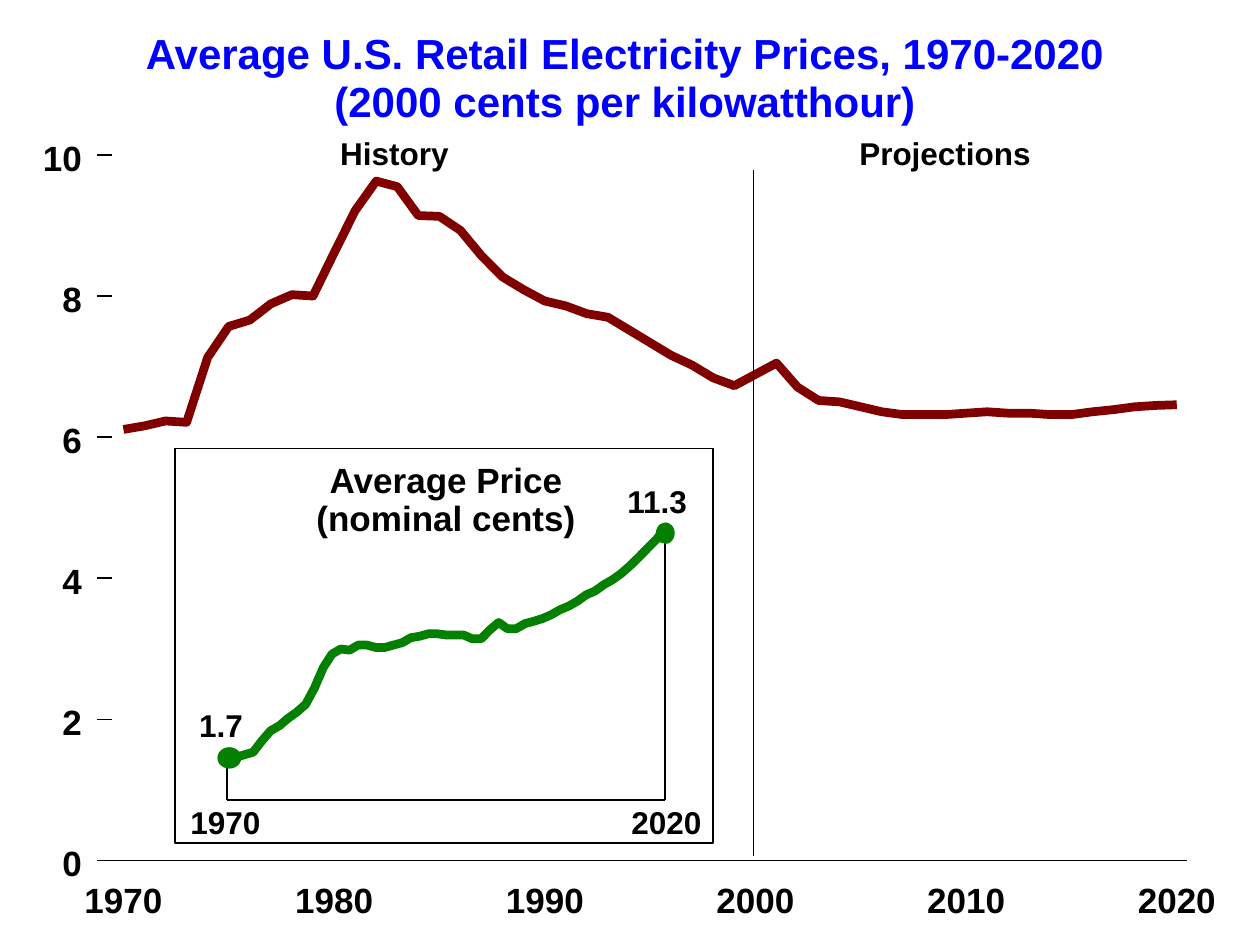
from lxml import etree
from pptx import Presentation
from pptx.dml.color import RGBColor
from pptx.enum.shapes import MSO_CONNECTOR, MSO_SHAPE
from pptx.enum.text import MSO_ANCHOR, MSO_AUTO_SIZE, PP_ALIGN
from pptx.oxml.ns import qn
from pptx.util import Inches, Pt

STRAIGHT = MSO_CONNECTOR.STRAIGHT
RECT, OVAL = MSO_SHAPE.RECTANGLE, MSO_SHAPE.OVAL
CENTER, RIGHT = PP_ALIGN.CENTER, PP_ALIGN.RIGHT
TOP = MSO_ANCHOR.TOP
GROW = MSO_AUTO_SIZE.SHAPE_TO_FIT_TEXT

COLORS = {"title": "0000FF", "ink": "000000", "real": "800000", "nominal": "048000"}
FRAME = {"margin_left": 0, "margin_right": 0, "margin_top": 0, "margin_bottom": 0,
         "word_wrap": False, "auto_size": GROW, "vertical_anchor": TOP}
FONT = {"name": "Arial", "bold": True}

FIRST_YEAR, LAST_YEAR = 1970, 2020
MAIN = {"left": 0.98, "base": 6.83, "year": 0.1672, "cent": 0.56}
INSET = {"left": 1.8, "base": 6.35, "year": 0.0696, "cent": 0.191}

REAL_PRICES = [
    6.11, 6.16, 6.23, 6.21, 7.13, 7.57, 7.66, 7.89, 8.02, 8.00,
    8.61, 9.21, 9.63, 9.55, 9.14, 9.13, 8.93, 8.57, 8.27, 8.09,
    7.93, 7.86, 7.75, 7.70, 7.52, 7.34, 7.16, 7.02, 6.84, 6.73,
    6.89, 7.05, 6.71, 6.52, 6.50, 6.43, 6.36, 6.32, 6.32, 6.32,
    6.34, 6.36, 6.34, 6.34, 6.32, 6.32, 6.36, 6.39, 6.43, 6.45, 6.46]
NOMINAL_PRICES = [
    1.70, 1.78, 1.88, 1.99, 2.46, 2.88, 3.09, 3.40, 3.66, 3.98,
    4.66, 5.50, 6.07, 6.28, 6.23, 6.44, 6.44, 6.34, 6.34, 6.44,
    6.54, 6.75, 6.81, 6.91, 6.91, 6.86, 6.86, 6.86, 6.70, 6.70,
    7.07, 7.38, 7.12, 7.12, 7.33, 7.43, 7.54, 7.70, 7.91, 8.06,
    8.27, 8.53, 8.69, 8.95, 9.16, 9.42, 9.74, 10.10, 10.47, 10.84, 11.30]


def rgb(name):
    return RGBColor.from_string(COLORS[name])


def apply(target, values):
    for key, value in values.items():
        setattr(target, key, value)


def point(plot, year, price):
    return (plot["left"] + (year - FIRST_YEAR) * plot["year"],
            plot["base"] - price * plot["cent"])


def write(s, lines, size, color="ink", align=CENTER, spacing=0.9):
    tf = s.text_frame
    apply(tf, FRAME)
    for i, line in enumerate(lines):
        p = tf.add_paragraph() if i else tf.paragraphs[0]
        apply(p, {"alignment": align, "line_spacing": spacing,
                  "space_before": Pt(0)})
        r = p.add_run()
        r.text = line
        apply(r.font, FONT)
        r.font.size = Pt(size)
        r.font.color.rgb = rgb(color)


def add_title(s, lines, box):
    sp = s.shapes.title
    apply(sp, dict(zip(("left", "top", "width", "height"), map(Inches, box))))
    write(sp, lines, 24, "title", spacing=0.95)


def add_label(s, lines, box, size=18, **style):
    write(s.shapes.add_textbox(*map(Inches, box)), lines, size, **style)


def add_line(s, start, end, width=1):
    c = s.shapes.add_connector(STRAIGHT, *map(Inches, (*start, *end)))
    c.line.color.rgb = rgb("ink")
    c.line.width = Pt(width)
    etree.SubElement(c.element.spPr, qn("a:effectLst"))


def add_curve(s, plot, prices, color):
    points = [tuple(map(Inches, point(plot, FIRST_YEAR + i, price)))
              for i, price in enumerate(prices)]
    builder = s.shapes.build_freeform(*points[0])
    builder.add_line_segments(points[1:], close=False)
    sp = builder.convert_to_shape()
    sp.shadow.inherit = False
    sp.fill.background()
    sp.line.color.rgb = rgb(color)
    sp.line.width = Pt(5)


def add_marker(s, center, width, height):
    x, y = center
    sp = s.shapes.add_shape(OVAL, *map(Inches, (x - width / 2, y - height / 2,
                                                width, height)))
    sp.shadow.inherit = False
    sp.fill.solid()
    sp.fill.fore_color.rgb = rgb("nominal")
    sp.line.fill.background()


def add_inset(s):
    sp = s.shapes.add_shape(RECT, *map(Inches, (1.39, 3.56, 4.27, 3.13)))
    sp.shadow.inherit = False
    sp.fill.background()
    sp.line.color.rgb = rgb("ink")
    sp.line.width = Pt(1)
    add_label(s, ["Average Price", "(nominal cents)"], (2.49, 3.68, 2.1, 0.6), 20)
    first = point(INSET, FIRST_YEAR, NOMINAL_PRICES[0])
    last = point(INSET, LAST_YEAR, NOMINAL_PRICES[-1])
    base = INSET["base"]
    for x, y in (first, last):
        add_line(s, (x, base), (x, y))
    add_line(s, (first[0], base), (last[0], base))
    add_curve(s, INSET, NOMINAL_PRICES, "nominal")
    add_marker(s, (first[0] + 0.02, first[1] - 0.01), 0.19, 0.17)
    add_marker(s, (last[0], last[1] + 0.04), 0.15, 0.17)
    add_label(s, ["1.7"], (1.58, 5.64, 0.35, 0.27))
    add_label(s, ["11.3"], (4.97, 3.86, 0.49, 0.27))
    for year, left in ((FIRST_YEAR, 1.51), (LAST_YEAR, 5.01)):
        add_label(s, [str(year)], (left, 6.41, 0.56, 0.27))


def add_axes(s):
    base = MAIN["base"]
    for price in range(0, 11, 2):
        y = point(MAIN, FIRST_YEAR, price)[1]
        width = 0.16 * len(str(price))
        add_line(s, (0.77, y), (0.89, y))
        add_label(s, [str(price)], (0.65 - width, y - 0.15, width, 0.33), 20,
                  align=RIGHT, spacing=1.0)
    add_line(s, (0.89, base), (9.42, base))
    for year in range(FIRST_YEAR, LAST_YEAR + 1, 10):
        x = point(MAIN, year, 0)[0]
        add_label(s, [str(year)], (x - 0.31, 6.97, 0.62, 0.33), 20, spacing=1.0)


def main():
    prs = Presentation()
    prs.slide_width, prs.slide_height = Inches(10), Inches(7.5)
    s = prs.slides.add_slide(prs.slide_layouts[5])
    add_title(s, ["Average U.S. Retail Electricity Prices, 1970-2020",
                  "(2000 cents per kilowatthour)"], (1.15, 0.25, 7.62, 0.76))
    add_inset(s)
    add_label(s, ["History"], (2.67, 1.1, 0.92, 0.27))
    add_label(s, ["Projections"], (6.79, 1.1, 1.42, 0.27))
    add_curve(s, MAIN, REAL_PRICES, "real")
    add_axes(s)
    add_line(s, (5.98, 1.35), (5.98, 6.79), 0.75)
    prs.save("out.pptx")


if __name__ == "__main__":
    main()
